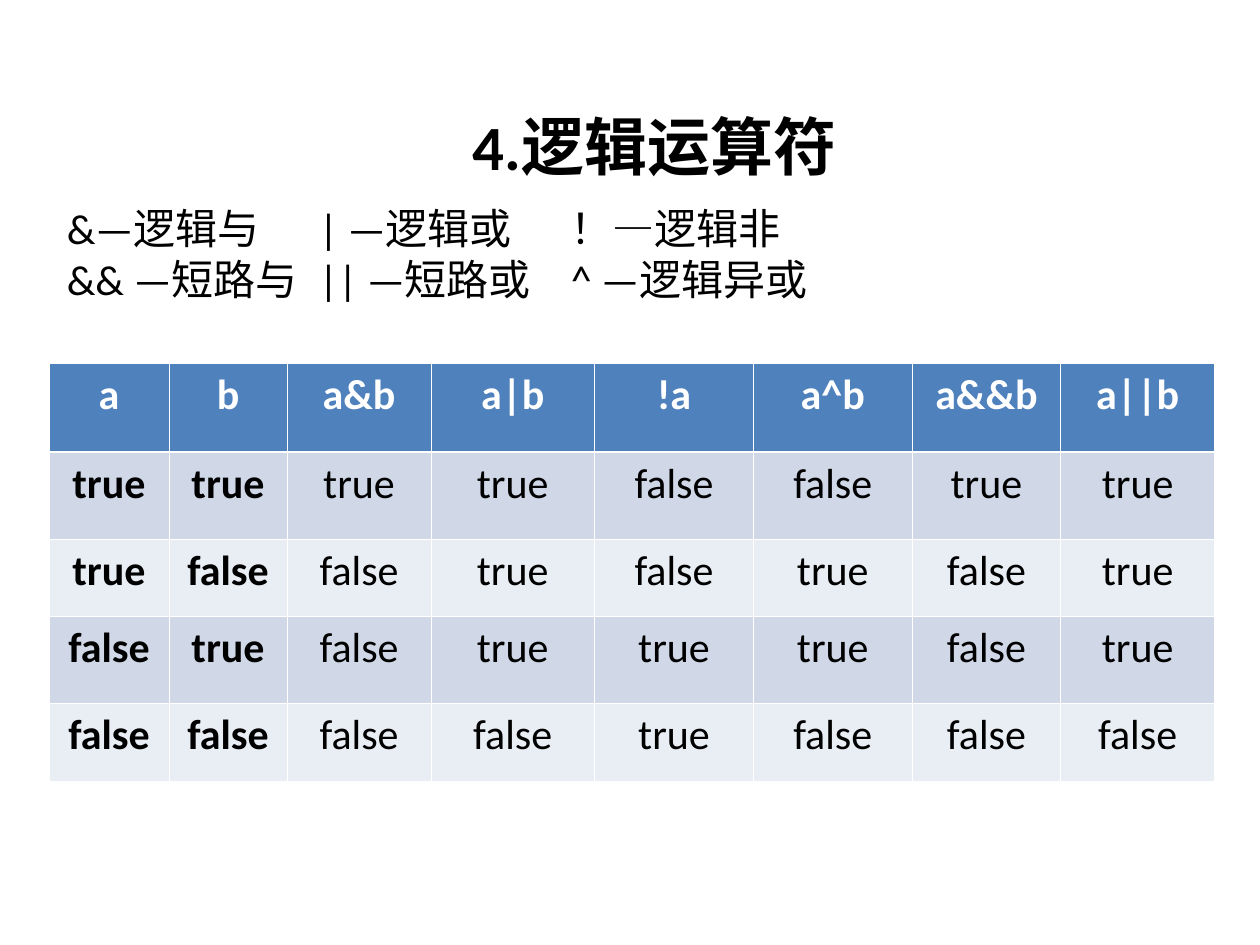
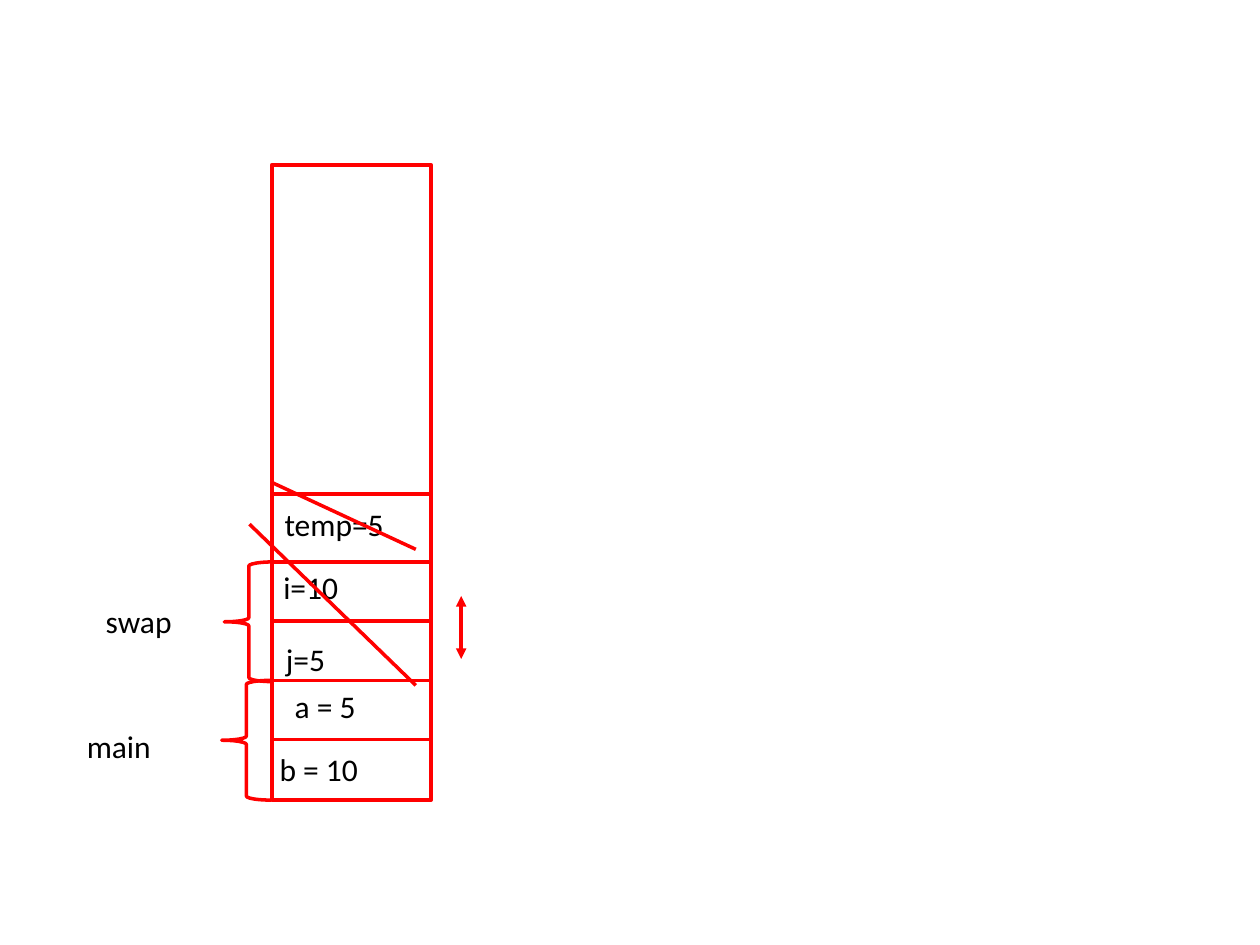
"""Build two teaching slides: logical operators and the call stack of a swap."""
import pptx
import pptx.dml.color
import pptx.enum.shapes
import pptx.enum.text
import pptx.oxml
import pptx.oxml.ns
import pptx.util
from pptx.util import Inches

RGBColor = pptx.dml.color.RGBColor
BLACK = RGBColor(0x00, 0x00, 0x00)
WHITE = RGBColor(0xFF, 0xFF, 0xFF)
RED = RGBColor(0xFF, 0x00, 0x00)
HEADER_BLUE = RGBColor(0x4F, 0x81, 0xBD)
BANDS = (RGBColor(0xD0, 0xD8, 0xE8), RGBColor(0xE9, 0xED, 0xF4))
FONT = "Calibri"
LEFT = pptx.enum.text.PP_ALIGN.LEFT
CENTER = pptx.enum.text.PP_ALIGN.CENTER

OPERATORS = (
    ("&—逻辑与\t| —逻辑或\t！—逻辑非", (2.36, 4.65)),
    ("&& —短路与\t|| —短路或\t^ —逻辑异或", (2.43, 4.88)),
)
TRUTH_ROWS = (
    "a b a&b a|b !a a^b a&&b a||b",
    "true true true true false false true true",
    "true false false true false true false true",
    "false true false true true true false true",
    "false false false false true false false false",
)
COLUMN_WIDTHS = (0.95, 0.94, 1.14, 1.3, 1.26, 1.26, 1.18, 1.22)
ROW_HEIGHTS = (0.71, 0.69, 0.61, 0.69, 0.62)

STACK_LEFT, STACK_RIGHT = 2.16, 3.43
STACK_TOP, TEMP_TOP, SWAP_TOP, CELL_HEIGHT = 1.31, 3.92, 4.46, 0.47
STACK_LABELS = (
    ("main", 0.59, 5.72, 1.02),
    ("swap", 0.74, 4.73, 1.02),
    ("a = 5", 2.24, 5.4, 1.18),
    ("b = 10", 2.12, 5.9, 1.18),
    ("i=10", 2.15, 4.46, 1.18),
    ("j=5", 2.17, 5.03, 1.18),
    ("temp=5", 2.16, 3.96, 1.18),
)


def add_element(parent, tag, **attributes):
    """Append a DrawingML element to its parent and return it."""
    element = pptx.oxml.parse_xml(f"<{tag} {pptx.oxml.ns.nsdecls('a')}/>")
    for name, value in attributes.items():
        element.set(name, str(value))
    parent.append(element)
    return element


def format_paragraph(p, size, color=BLACK, bold=False, align=LEFT):
    """Set the font, alignment and spacing of a paragraph."""
    p.alignment = align
    p.space_before = pptx.util.Pt(0)
    p.font.name = FONT
    p.font.size = pptx.util.Pt(size)
    p.font.bold = bold
    p.font.color.rgb = color


def place(sp, left, top, width, height):
    """Move a placeholder, anchor its text at the top and return its frame."""
    sp.left, sp.top = Inches(left), Inches(top)
    sp.width, sp.height = Inches(width), Inches(height)
    tf = sp.text_frame
    tf.auto_size = pptx.enum.text.MSO_AUTO_SIZE.NONE
    tf.vertical_anchor = pptx.enum.text.MSO_ANCHOR.TOP
    return tf


def add_operator_list(sp):
    """Fill the body with operator names aligned at tab stops."""
    tf = place(sp, 0.43, 1.56, 8.98, 0.9)
    for i, (text, stops) in enumerate(OPERATORS):
        p = tf.paragraphs[0] if i == 0 else tf.add_paragraph()
        p.text = text
        pPr = p._p.get_or_add_pPr()
        pPr.set("marL", "0")
        pPr.set("indent", "0")
        add_element(pPr, "a:buNone")
        tabs = add_element(pPr, "a:tabLst")
        for stop in stops:
            add_element(tabs, "a:tab", pos=Inches(stop), algn="l")
        format_paragraph(p, 24)


def set_borders(cell, row):
    """Draw white cell borders, heavier under the header row."""
    tcPr = cell._tc.get_or_add_tcPr()
    heavy = {(0, "lnB"), (1, "lnT")}
    for i, side in enumerate(("lnL", "lnR", "lnT", "lnB")):
        width = 1.47 if (row, side) in heavy else 0.45
        ln = add_element(tcPr, f"a:{side}", w=pptx.util.Pt(width))
        add_element(add_element(ln, "a:solidFill"), "a:srgbClr", val=WHITE)
        tcPr.insert(i, ln)


def add_truth_table(s):
    """Add the truth table of the logical operators."""
    table = s.shapes.add_table(
        len(ROW_HEIGHTS), len(COLUMN_WIDTHS), Inches(0.39), Inches(2.88),
        Inches(sum(COLUMN_WIDTHS)), Inches(sum(ROW_HEIGHTS))).table
    for column, width in zip(table.columns, COLUMN_WIDTHS):
        column.width = Inches(width)
    for r, (height, values) in enumerate(zip(ROW_HEIGHTS, TRUTH_ROWS)):
        table.rows[r].height = Inches(height)
        for c, value in enumerate(values.split()):
            cell = table.cell(r, c)
            cell.text = value
            cell.fill.solid()
            cell.fill.fore_color.rgb = BANDS[(r - 1) % 2] if r else HEADER_BLUE
            set_borders(cell, r)
            format_paragraph(cell.text_frame.paragraphs[0], 24,
                             BLACK if r else WHITE, r == 0 or c < 2, CENTER)


def add_outline(s, kind, left, top, width, height, weight):
    """Add an unfilled preset shape with a red outline."""
    sp = s.shapes.add_shape(kind, Inches(left), Inches(top),
                            Inches(width), Inches(height))
    sp.shadow.inherit = False
    sp.fill.background()
    sp.line.color.rgb = RED
    sp.line.width = pptx.util.Pt(weight)


def add_line(s, x1, y1, x2, y2, arrows=False):
    """Add a red line, optionally with an arrowhead at both ends."""
    line = s.shapes.add_connector(
        pptx.enum.shapes.MSO_CONNECTOR.STRAIGHT,
        Inches(x1), Inches(y1), Inches(x2), Inches(y2))
    line.line.color.rgb = RED
    line.line.width = pptx.util.Pt(2)
    if arrows:
        ln = line.line._get_or_add_ln()
        for end in ("a:headEnd", "a:tailEnd"):
            add_element(ln, end, type="triangle")
    add_element(line._element.spPr, "a:effectLst")


def add_label(s, text, left, top, width):
    """Add a one-line label."""
    tf = s.shapes.add_textbox(Inches(left), Inches(top),
                              Inches(width), Inches(0.4)).text_frame
    tf.word_wrap = True
    p = tf.paragraphs[0]
    p.text = text
    format_paragraph(p, 18)


def build_operators(prs):
    """Build the slide on logical operators."""
    s = prs.slides.add_slide(prs.slide_layouts[1])
    add_truth_table(s)
    add_operator_list(s.placeholders[1])
    p = place(s.shapes.title, 3.03, 0.8, 4.33, 0.76).paragraphs[0]
    p.text = "4.逻辑运算符"
    format_paragraph(p, 36, bold=True, align=CENTER)


def build_stack(prs):
    """Build the slide on the stack frames of main and swap."""
    s = prs.slides.add_slide(prs.slide_layouts[6])
    shapes = pptx.enum.shapes.MSO_SHAPE
    add_outline(s, shapes.RECTANGLE, STACK_LEFT, STACK_TOP, 1.26, 5.04, 2.5)
    for y in (TEMP_TOP, *(SWAP_TOP + i * CELL_HEIGHT for i in range(4))):
        add_line(s, STACK_LEFT, y, STACK_RIGHT, y)
    for left, top in ((1.76, 5.4), (1.78, SWAP_TOP)):
        add_outline(s, shapes.LEFT_BRACE, left, top, 0.39, 0.95, 2)
    for label in STACK_LABELS:
        add_label(s, *label)
    add_line(s, 3.66, 4.73, 3.66, 5.23, arrows=True)
    add_line(s, STACK_LEFT, 3.83, 3.3, 4.36)
    add_line(s, 1.98, 4.16, 3.3, 5.44)


def main():
    """Build and save the presentation."""
    prs = pptx.Presentation()
    prs.slide_width, prs.slide_height = Inches(10), Inches(7.5)
    build_operators(prs)
    build_stack(prs)
    prs.save("out.pptx")


if __name__ == "__main__":
    main()
